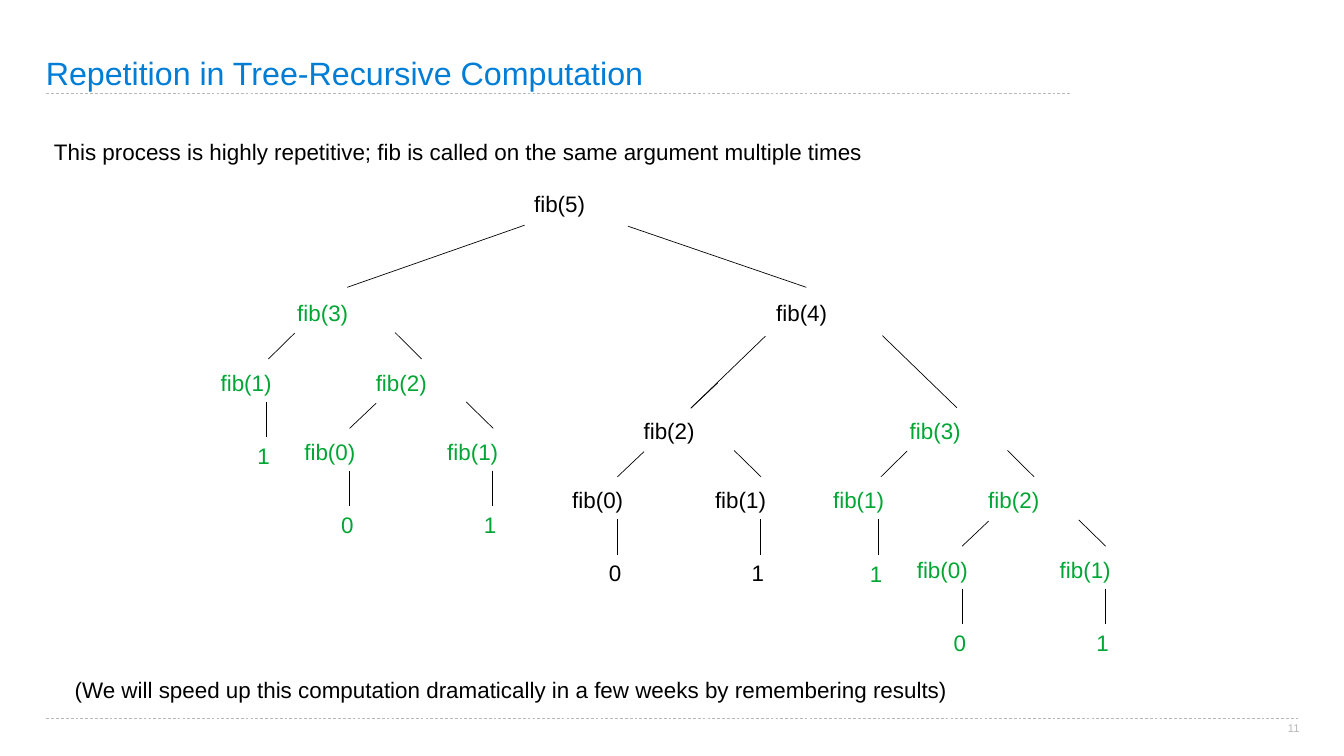
"""Build a slide that shows the repeated calls in a tree-recursive Fibonacci process."""

from dataclasses import dataclass

from lxml.etree import SubElement
from pptx import Presentation
from pptx.dml.color import RGBColor as RGB
from pptx.enum.dml import MSO_LINE as Dash
from pptx.enum.shapes import MSO_CONNECTOR as Connector
from pptx.enum.text import MSO_ANCHOR as Anchor, PP_ALIGN as Align
from pptx.oxml.ns import qn
from pptx.util import Cm, Pt


@dataclass(frozen=True)
class Theme:
    font: str = "Arial"
    title: RGB = RGB(0x00, 0x7D, 0xD6)
    ink: RGB = RGB(0x00, 0x00, 0x00)
    repeated: RGB = RGB(0x00, 0xA6, 0x33)
    muted: RGB = RGB(0xB8, 0xB8, 0xB8)
    title_size: int = 46
    body_size: int = 32
    number_size: int = 16
    line_width: int = 1
    inset: float = 0.15
    indent: float = 0.23


@dataclass(frozen=True)
class Branch:
    start: tuple
    end: tuple
    child: int
    offset: tuple


BRANCHES = {
    5: (
        Branch((-0.1, 2), (-9.04, 5.13), 3, (-11.94, 5.51)),
        Branch((5.11, 2.05), (14.1, 5.13), 4, (12.2, 5.51)),
    ),
    4: (
        Branch((-0.16, 2.08), (-3.92, 5.71), 2, (-6.68, 5.94)),
        Branch((5.74, 2.06), (9.49, 5.69), 3, (6.73, 5.94)),
    ),
    3: (
        Branch((0.25, 1.93), (-1.07, 3.23), 1, (-3.86, 3.5)),
        Branch((5.31, 1.9), (6.65, 3.23), 2, (3.96, 3.5)),
    ),
    2: (
        Branch((0.4, 1.96), (-0.94, 3.23), 0, (-3.6, 3.48)),
        Branch((4.94, 1.9), (6.3, 3.23), 1, (3.6, 3.48)),
    ),
}


class SlidePainter:
    """Draw styled elements on the current slide."""

    def __init__(self, slide, theme):
        self.slide = slide
        self.theme = theme

    def text(self, words, left, top, width, height, color=None, size=None,
             anchor=Anchor.MIDDLE, inset=None, indent=None, align=Align.LEFT,
             spacing=None, wrap=True):
        """Add one paragraph in a text box."""
        theme = self.theme
        box = self.slide.shapes.add_textbox(Cm(left), Cm(top), Cm(width), Cm(height))
        frame = box.text_frame
        frame.word_wrap = wrap
        frame.vertical_anchor = anchor
        margin = Cm(theme.inset if inset is None else inset)
        frame.margin_left = frame.margin_right = margin
        frame.margin_top = frame.margin_bottom = margin
        para = frame.paragraphs[0]
        para.text = words
        para.alignment = align
        para.line_spacing = spacing
        para.font.name = theme.font
        para.font.size = Pt(size or theme.body_size)
        para.font.color.rgb = color or theme.ink
        properties = para._p.get_or_add_pPr()
        properties.set("marL", str(Cm(theme.indent if indent is None else indent)))
        properties.set("indent", "0")

    def line(self, start, end, color=None, dash=None):
        """Add a straight line without a shadow."""
        ends = [Cm(length) for length in (*start, *end)]
        line = self.slide.shapes.add_connector(Connector.STRAIGHT, *ends)
        line.line.color.rgb = color or self.theme.ink
        line.line.width = Pt(self.theme.line_width)
        if dash:
            line.line.dash_style = dash
        SubElement(line._element.spPr, qn("a:effectLst"))

    def rule(self, top, right):
        """Add a dashed rule from the left margin."""
        self.line((2.34, top), (right, top), self.theme.muted, Dash.DASH)

    def call_tree(self, number, left, top, color):
        """Draw a call and, below it, the calls or the value it leads to."""
        if number == 3:
            color = self.theme.repeated
        self.text(f"fib({number})", left, top, 5.16, 1.8, color)
        if number < 2:
            self.line((left + 2.67, top + 1.88), (left + 2.67, top + 3.68))
            self.text(str(number), left + 1.85, top + 3.68, 1.45, 1.8, color)
            return
        for branch in BRANCHES[number]:
            (x1, y1), (x2, y2) = branch.start, branch.end
            self.line((left + x1, top + y1), (left + x2, top + y2))
            right, down = branch.offset
            self.call_tree(branch.child, left + right, top + down, color)


def main():
    theme = Theme()
    deck = Presentation()
    deck.slide_width, deck.slide_height = Cm(67.74), Cm(38.1)
    painter = SlidePainter(deck.slides.add_slide(deck.slide_layouts[6]), theme)

    painter.rule(4.72, 54)
    painter.rule(36.22, 65.48)
    painter.text("Repetition in Tree-Recursive Computation", 2.31, 0, 51.59, 4.65,
                 theme.title, theme.title_size, Anchor.BOTTOM, inset=0, indent=0,
                 spacing=0.9)
    painter.call_tree(5, 26.54, 9.35, theme.ink)
    painter.line((36.17, 19.3), (34.82, 20.57))
    painter.text("This process is highly repetitive; fib is called on the same "
                 "argument multiple times", 2.34, 6.81, 63.12, 2.34,
                 anchor=Anchor.TOP)
    painter.text("11", 64.9, 36.37, 0.61, 0.61, theme.muted, theme.number_size,
                 Anchor.TOP, inset=0, indent=0, align=Align.CENTER, wrap=False)
    painter.text("(We will speed up this computation dramatically in a few weeks "
                 "by remembering results)", 3.38, 32.41, 60.99, 4.65)
    deck.save("out.pptx")


if __name__ == "__main__":
    main()
